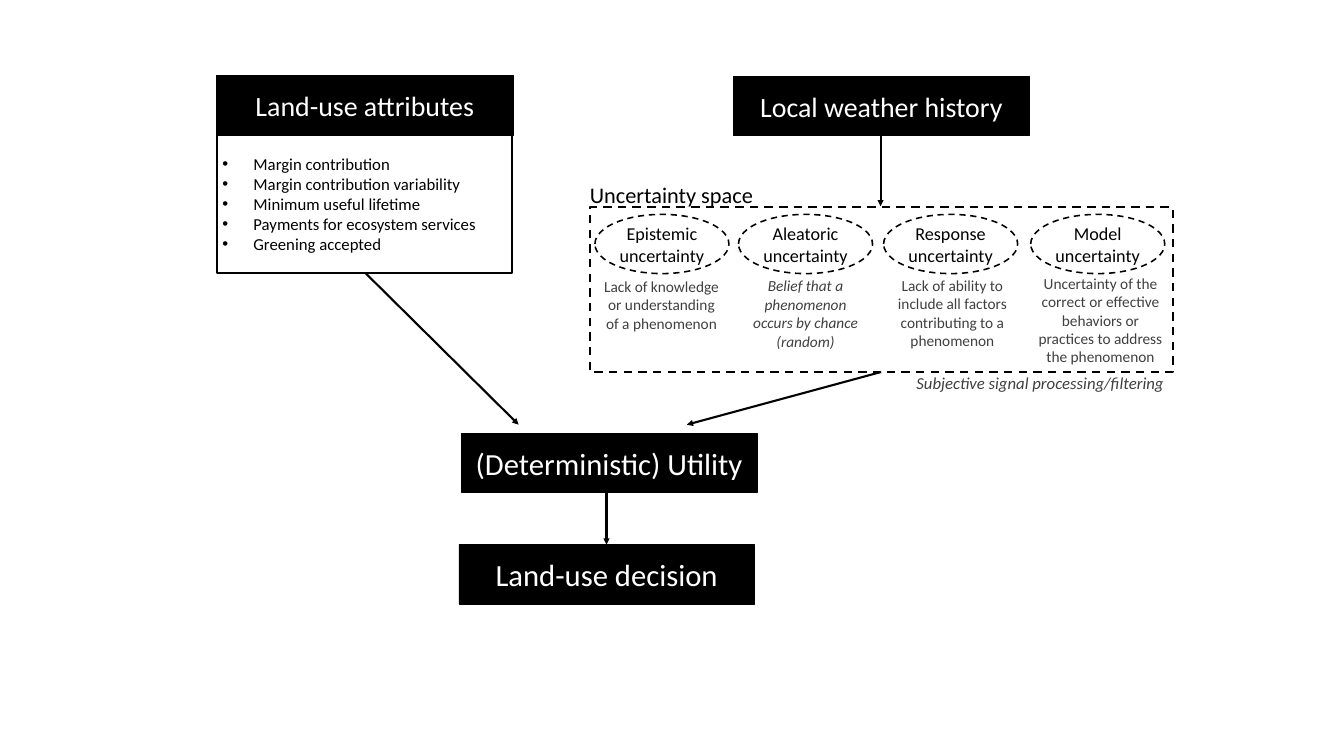
from dataclasses import dataclass

from lxml import etree
from pptx import Presentation
from pptx.dml.color import RGBColor
from pptx.enum.dml import MSO_LINE
from pptx.enum.shapes import MSO_CONNECTOR, MSO_SHAPE
from pptx.enum.text import MSO_ANCHOR, PP_ALIGN
from pptx.oxml.ns import qn
from pptx.util import Inches, Pt

RECTANGLE, ELLIPSE = MSO_SHAPE.RECTANGLE, MSO_SHAPE.OVAL
STRAIGHT = MSO_CONNECTOR.STRAIGHT
DASH = MSO_LINE.DASH
TOP, MIDDLE = MSO_ANCHOR.TOP, MSO_ANCHOR.MIDDLE
LEFT, CENTER = PP_ALIGN.LEFT, PP_ALIGN.CENTER


@dataclass(frozen=True)
class Theme:
    font: str = "Calibri"
    black: RGBColor = RGBColor(0, 0, 0)
    white: RGBColor = RGBColor(255, 255, 255)
    gray: RGBColor = RGBColor(0x40, 0x40, 0x40)
    outcome: float = 44
    heading: float = 40
    space_title: float = 32
    kind: float = 26
    attribute: float = 24
    signal: float = 24
    meaning: float = 22
    thin: float = 1
    medium: float = 2.25
    thick: float = 3
    bullet_indent: float = 0.62


class Diagram:
    def __init__(self, page, theme):
        self.page = page
        self.theme = theme

    def add_text(self, box, lines, size, color, align=CENTER, anchor=MIDDLE,
                 italic=False, bullets=False):
        frame = box.text_frame
        frame.word_wrap = True
        frame.vertical_anchor = anchor
        for index, line in enumerate(lines):
            para = frame.paragraphs[0] if index == 0 else frame.add_paragraph()
            para.alignment = align
            if bullets:
                self.add_bullet(para)
            span = para.add_run()
            span.text = line
            span.font.name = self.theme.font
            span.font.size = Pt(size)
            span.font.italic = italic
            span.font.color.rgb = color

    def add_bullet(self, para):
        properties = para._p.get_or_add_pPr()
        indent = Inches(self.theme.bullet_indent)
        properties.set("marL", str(indent))
        properties.set("indent", str(-indent))
        etree.SubElement(properties, qn("a:buFont")).set("typeface", "Arial")
        etree.SubElement(properties, qn("a:buChar")).set("char", "•")

    def shape(self, preset, area, width, fill=None, dashed=False):
        box = self.page.shapes.add_shape(preset, *map(Inches, area))
        box.shadow.inherit = False
        if fill is None:
            box.fill.background()
        else:
            box.fill.solid()
            box.fill.fore_color.rgb = fill
        box.line.color.rgb = self.theme.black
        box.line.width = Pt(width)
        if dashed:
            box.line.dash_style = DASH
        return box

    def banner(self, left, top, text, size, width=5.89):
        theme = self.theme
        box = self.shape(RECTANGLE, (left, top, width, 1.18), theme.thin, theme.black)
        self.add_text(box, [text], size, theme.white)

    def label(self, area, text, size, color, anchor=MIDDLE, italic=False):
        box = self.page.shapes.add_textbox(*map(Inches, area))
        self.add_text(box, [text], size, color, anchor=anchor, italic=italic)

    def arrow(self, start, end):
        connector = self.page.shapes.add_connector(STRAIGHT, *map(Inches, start + end))
        connector.line.color.rgb = self.theme.black
        connector.line.width = Pt(self.theme.thick)
        properties = connector._element.spPr
        outline = properties.find(qn("a:ln"))
        etree.SubElement(outline, qn("a:tailEnd")).set("type", "triangle")
        etree.SubElement(properties, qn("a:effectLst"))


theme = Theme()
deck = Presentation()
deck.slide_width, deck.slide_height = Inches(26.77), Inches(14.96)
page = deck.slides.add_slide(deck.slide_layouts[6])
diagram = Diagram(page, theme)

# Land-use attributes
diagram.banner(4.31, 1.51, "Land-use attributes", theme.heading, width=5.91)
attributes = ["Margin contribution", "Margin contribution variability",
              "Minimum useful lifetime", "Payments for ecosystem services",
              "Greening accepted"]
attribute_box = diagram.shape(RECTANGLE, (4.33, 2.69, 5.87, 2.74), theme.thick, theme.white)
diagram.add_text(attribute_box, attributes, theme.attribute, theme.black,
                 align=LEFT, bullets=True)

# Weather history and uncertainty space
diagram.banner(14.61, 1.52, "Local weather history", theme.heading)
diagram.shape(RECTANGLE, (11.75, 4.13, 11.61, 3.28), theme.thick, dashed=True)
diagram.label((11.48, 3.63, 3.79, 0.5), "Uncertainty space", theme.space_title, theme.black)
diagram.label((17.72, 7.4, 5.99, 0.45), "Subjective signal processing/filtering",
              theme.signal, theme.gray, italic=True)

# Kinds of uncertainty: ellipse left, name, meaning area, meaning, italic
uncertainties = [
    (11.85, "Epistemic", (11.9, 5.47, 2.55, 1.21),
     "Lack of knowledge or understanding of a phenomenon", False),
    (14.71, "Aleatoric", (14.78, 5.46, 2.53, 1.58),
     "Belief that a phenomenon occurs by chance (random)", True),
    (17.6, "Response", (17.58, 5.45, 2.78, 1.58),
     "Lack of ability to include all factors contributing to a phenomenon", False),
    (20.53, "Model", (20.47, 5.41, 2.9, 1.95),
     "Uncertainty of the correct or effective behaviors or practices "
     "to address the phenomenon", False),
]
for left, name, area, meaning, italic in uncertainties:
    ellipse = diagram.shape(ELLIPSE, (left, 4.27, 2.67, 1.18), theme.medium, dashed=True)
    diagram.add_text(ellipse, [f"{name} uncertainty"], theme.kind, theme.black)
    diagram.label(area, meaning, theme.meaning, theme.gray, TOP, italic)

# Utility and decision
diagram.banner(9.19, 8.63, "(Deterministic) Utility", theme.outcome)
diagram.banner(9.14, 10.85, "Land-use decision", theme.outcome)

# Flow arrows
for start, end in [((17.54, 2.62), (17.54, 4.11)),
                   ((17.55, 7.41), (13.68, 8.46)),
                   ((7.27, 5.43), (10.33, 8.46)),
                   ((12.08, 9.51), (12.08, 10.85))]:
    diagram.arrow(start, end)

deck.save("out.pptx")
